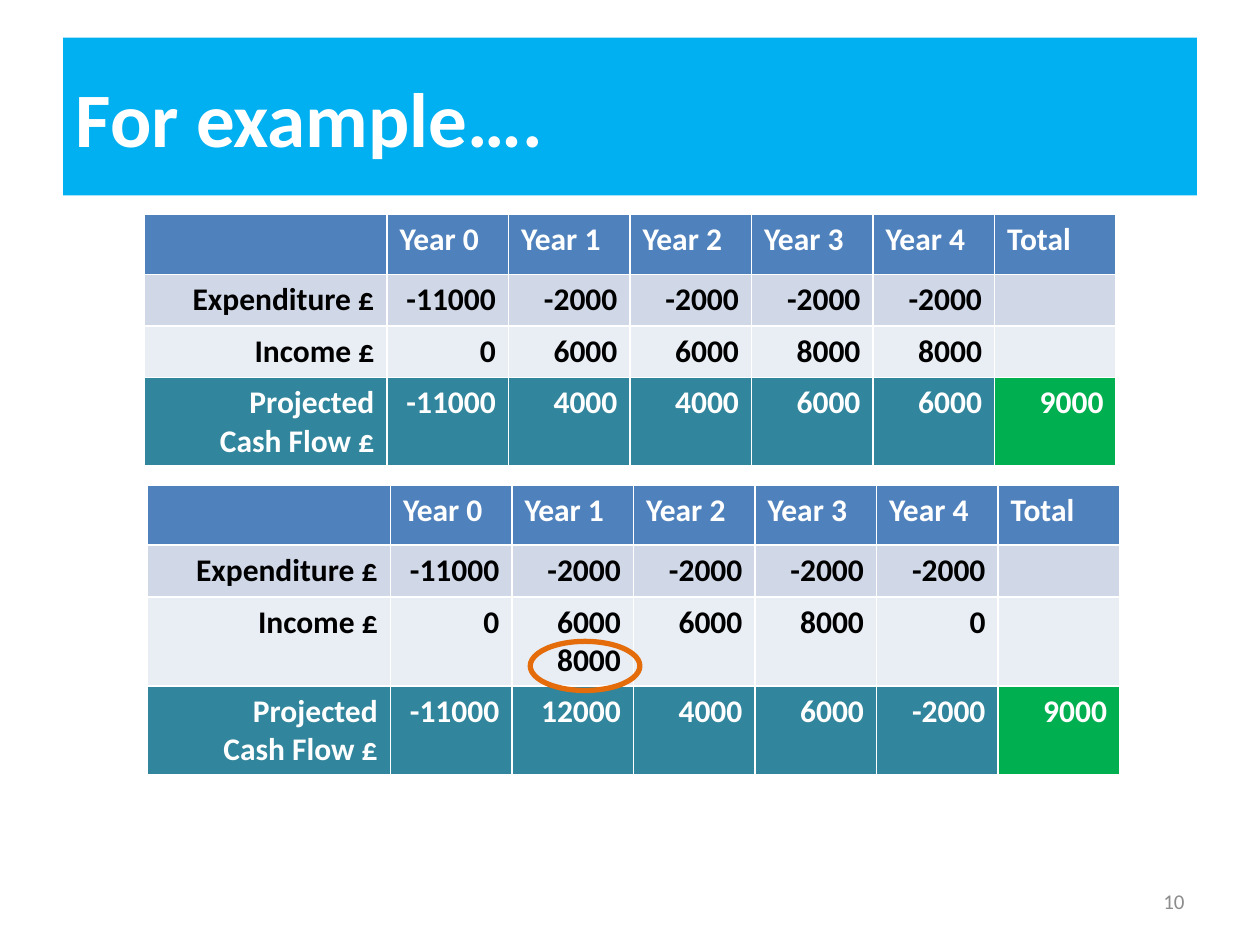
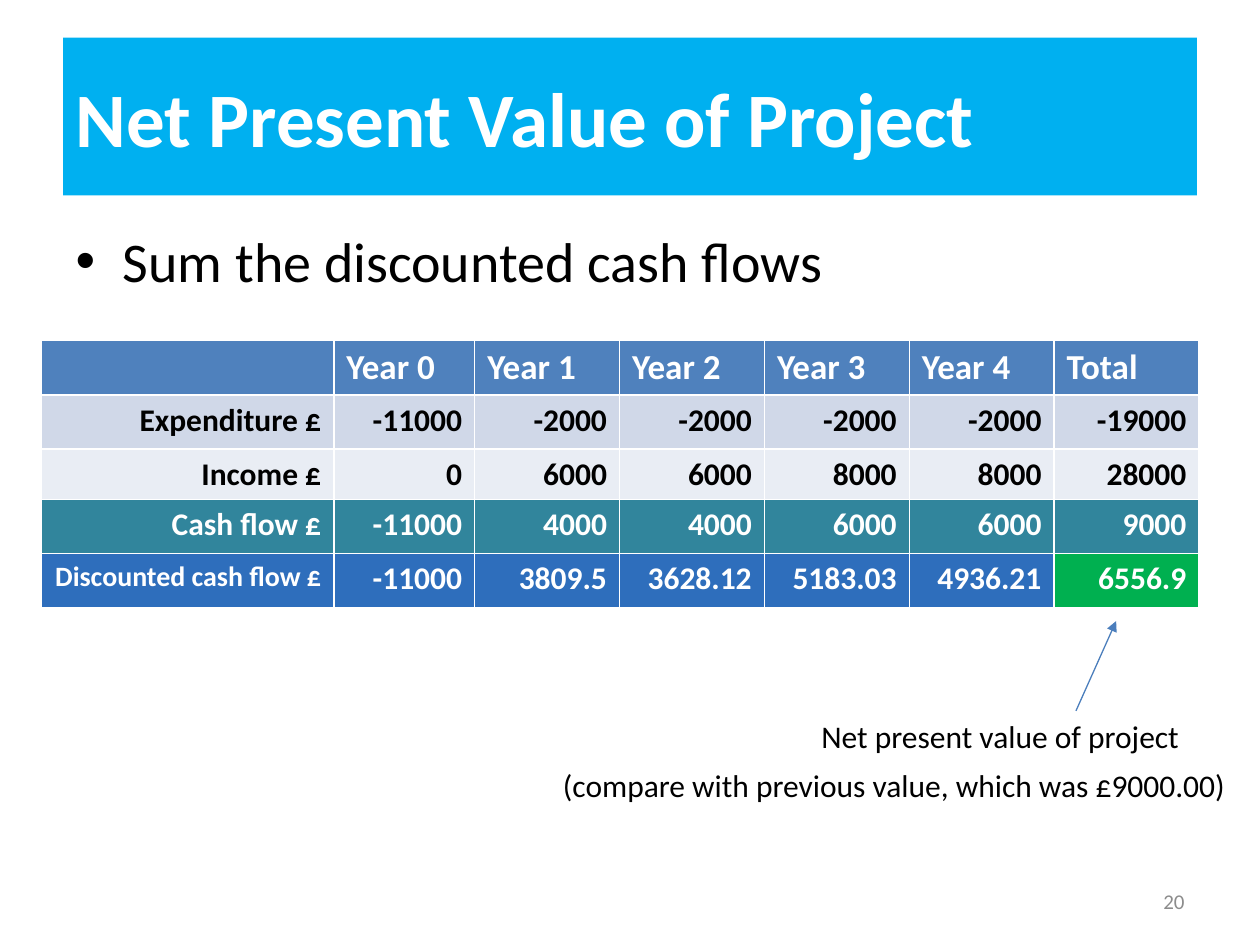
from pptx import Presentation
from pptx.dml.color import RGBColor
from pptx.enum.shapes import MSO_CONNECTOR, MSO_SHAPE
from pptx.enum.text import MSO_ANCHOR, PP_ALIGN
from pptx.oxml.ns import qn
from pptx.util import Cm, Pt
from lxml.etree import SubElement

FONT = "Calibri"
WHITE, BLACK, GREY = "FFFFFF", "000000", "8C8C8C"
TITLE_BLUE, HEADER_BLUE, DISCOUNT_BLUE = "00B0F0", "4F81BD", "2E6EBC"
BAND_DARK, BAND_LIGHT = "D0D8E8", "E9EDF4"
TEAL, GREEN, ORANGE, ARROW_BLUE = "31859C", "00B050", "E46C0A", "4B7EBC"

TITLE_ONLY, TITLE_AND_CONTENT = 5, 1
HEADER = ["", "Year 0", "Year 1", "Year 2", "Year 3", "Year 4", "Total"]
SPENDING = ["Expenditure £", "-11000"] + ["-2000"] * 4
INCOME = ["Income £", "0", "6000", "6000", "8000", "8000"]
CASH_FLOW = ["-11000", "4000", "4000", "6000", "6000", "9000"]


def color(hex_value):
    return RGBColor.from_string(hex_value)


def fill(target, hex_value):
    target.fill.solid()
    target.fill.fore_color.rgb = color(hex_value)


def write(tf, text, size=18, hex_value=BLACK, bold=False, align=PP_ALIGN.LEFT):
    """Put each line of text in its own paragraph."""
    for i, line in enumerate(text.split("\n")):
        p = tf.add_paragraph() if i else tf.paragraphs[0]
        p.alignment = align
        r = p.add_run()
        r.text = line
        r.font.name, r.font.size, r.font.bold = FONT, Pt(size), bold
        r.font.color.rgb = color(hex_value)


def add_text(s, text, left, top, width, height=1.02, wrap=False,
             anchor=MSO_ANCHOR.TOP, **style):
    tf = s.shapes.add_textbox(Cm(left), Cm(top), Cm(width), Cm(height)).text_frame
    tf.word_wrap = wrap
    tf.vertical_anchor = anchor
    write(tf, text, **style)


def add_slide(prs, layout, title, number):
    s = prs.slides.add_slide(prs.slide_layouts[layout])
    sp = s.shapes.title
    sp.left, sp.top, sp.width, sp.height = Cm(1.27), Cm(0.76), Cm(22.86), Cm(3.18)
    fill(sp, TITLE_BLUE)
    sp.text_frame.vertical_anchor = MSO_ANCHOR.MIDDLE
    write(sp.text_frame, title, size=44, hex_value=WHITE, bold=True)
    add_text(s, number, 18.21, 17.65, 5.92, wrap=True, anchor=MSO_ANCHOR.MIDDLE,
             size=12, hex_value=GREY, align=PP_ALIGN.RIGHT)
    return s


def add_cash_table(s, left, top, widths, heights, rows, header_size=18):
    """Rows are (fill, text colour, values); the last cell is the green result."""
    rows = [(HEADER_BLUE, WHITE, HEADER)] + rows
    table = s.shapes.add_table(len(rows), len(widths), Cm(left), Cm(top),
                               Cm(sum(widths)), Cm(sum(heights))).table
    for column, width in zip(table.columns, widths):
        column.width = Cm(width)
    for i, (row_fill, text_color, values) in enumerate(rows):
        table.rows[i].height = Cm(heights[i])
        for j, value in enumerate(values):
            cell = table.cell(i, j)
            fill(cell, row_fill)
            if value:
                size = header_size if i == 0 else 16 if len(value) > 21 else 18
                write(cell.text_frame, value, size=size, hex_value=text_color,
                      bold=True, align=PP_ALIGN.RIGHT if i else PP_ALIGN.LEFT)
    fill(table.cell(len(rows) - 1, len(widths) - 1), GREEN)


def add_ring(s, left, top, width, height):
    sp = s.shapes.add_shape(MSO_SHAPE.OVAL, Cm(left), Cm(top), Cm(width), Cm(height))
    sp.shadow.inherit = False
    sp.fill.background()
    sp.line.color.rgb = color(ORANGE)
    sp.line.width = Pt(3)


def add_arrow(s, x1, y1, x2, y2):
    line = s.shapes.add_connector(MSO_CONNECTOR.STRAIGHT, Cm(x1), Cm(y1), Cm(x2), Cm(y2))
    line.line.color.rgb = color(ARROW_BLUE)
    line.line.width = Pt(0.75)
    SubElement(line.line._get_or_add_ln(), qn("a:tailEnd"), type="triangle")
    SubElement(line._element.spPr, qn("a:effectLst"))


def build_example(prs):
    s = add_slide(prs, TITLE_ONLY, "For example….", "10")
    label = "Projected\nCash Flow £"
    early_income = ["Income £", "0", "6000\n8000", "6000", "8000", "0"]
    early_flow = ["-11000", "12000", "4000", "6000", "-2000", "9000"]
    for left, top, income_height, income, flow in (
            (2.9, 4.32, 1.04, INCOME, CASH_FLOW),
            (2.97, 9.78, 1.8, early_income, early_flow)):
        add_cash_table(s, left, top, [4.9] + [2.45] * 6,
                       [1.21, 1.04, income_height, 1.78],
                       [(BAND_DARK, BLACK, SPENDING + [""]),
                        (BAND_LIGHT, BLACK, income + [""]),
                        (TEAL, WHITE, [label] + flow)])
    add_ring(s, 10.69, 12.93, 2.21, 0.99)


def build_net_present_value(prs):
    s = add_slide(prs, TITLE_AND_CONTENT, "Net Present Value of Project", "20")
    write(s.placeholders[1].text_frame, "Sum the discounted cash flows", size=32)
    add_text(s, "(compare with previous value, which was £9000.00)", 11.1, 15.32, 14.02)
    add_arrow(s, 21.69, 14.33, 22.5, 12.52)
    add_text(s, "Net present value of project", 16.31, 14.33, 7.8)
    discounted = ["Discounted cash flow £", "-11000", "3809.5", "3628.12",
                  "5183.03", "4936.21", "6556.9"]
    add_cash_table(s, 0.84, 6.86, [5.89, 2.84] + [2.92] * 5,
                   [1.09, 1.09, 1, 1.09, 1.09],
                   [(BAND_DARK, BLACK, SPENDING + ["-19000"]),
                    (BAND_LIGHT, BLACK, INCOME + ["28000"]),
                    (TEAL, WHITE, ["Cash flow £"] + CASH_FLOW),
                    (DISCOUNT_BLUE, WHITE, discounted)],
                   header_size=20)


def main():
    prs = Presentation()
    prs.slide_width, prs.slide_height = Cm(25.4), Cm(19.05)
    build_example(prs)
    build_net_present_value(prs)
    prs.save("out.pptx")


if __name__ == "__main__":
    main()
